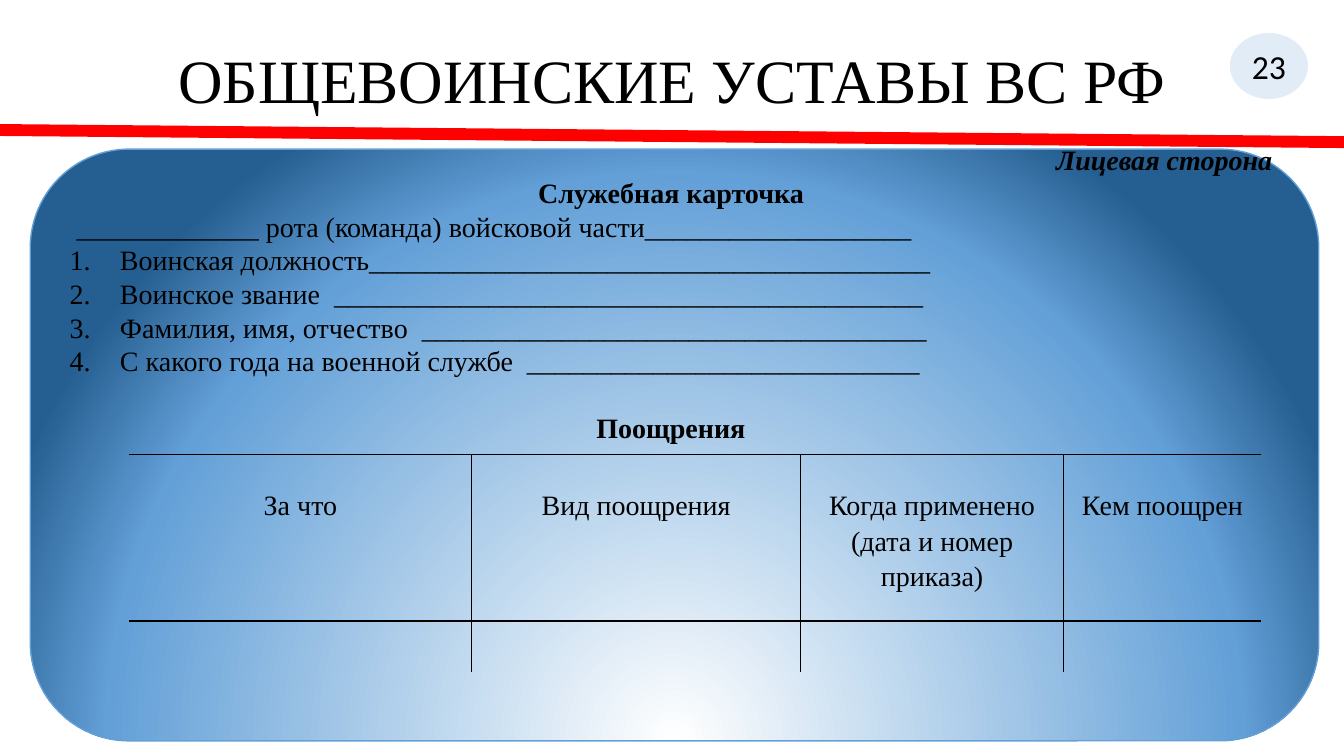
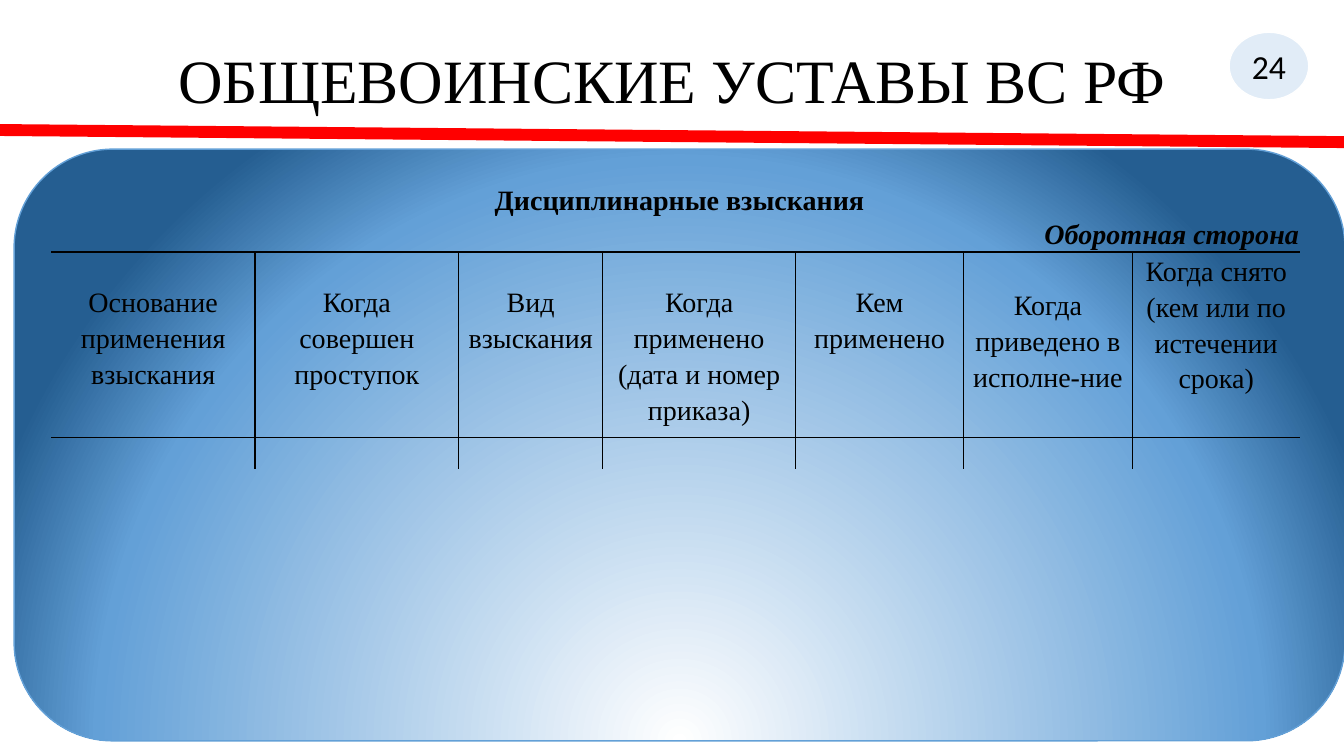
from lxml import etree
from pptx import Presentation
from pptx.dml.color import RGBColor
from pptx.enum.shapes import MSO_CONNECTOR, MSO_SHAPE
from pptx.enum.text import MSO_ANCHOR, PP_ALIGN
from pptx.oxml import parse_xml
from pptx.oxml.ns import nsdecls, qn
from pptx.util import Inches, Pt

LEFT, CENTER, RIGHT = PP_ALIGN.LEFT, PP_ALIGN.CENTER, PP_ALIGN.RIGHT
TOP, MIDDLE = MSO_ANCHOR.TOP, MSO_ANCHOR.MIDDLE
ROUNDED, OVAL = MSO_SHAPE.ROUNDED_RECTANGLE, MSO_SHAPE.OVAL
STRAIGHT = MSO_CONNECTOR.STRAIGHT

BLACK = RGBColor(0x00, 0x00, 0x00)
WHITE = RGBColor(0xFF, 0xFF, 0xFF)
RED = RGBColor(0xFF, 0x00, 0x00)
PALE_BLUE = RGBColor(0x5B, 0x9B, 0xD5)
MID_BLUE = RGBColor(0x63, 0xA0, 0xD7)
DEEP_BLUE = RGBColor(0x25, 0x5E, 0x91)

TITLE = "ОБЩЕВОИНСКИЕ УСТАВЫ ВС РФ"
SERIF = "Times New Roman"
CARD_LINE = Pt(24)

GRADIENT = f"""<a:gradFill {nsdecls('a')} rotWithShape="1"><a:gsLst>
<a:gs pos="0"><a:srgbClr val="{WHITE}"/></a:gs>
<a:gs pos="80000"><a:srgbClr val="{MID_BLUE}"/></a:gs>
<a:gs pos="100000"><a:srgbClr val="{DEEP_BLUE}"/></a:gs></a:gsLst>
<a:path path="circle"><a:fillToRect l="50000" t="130000" r="50000" b="-30000"/></a:path>
</a:gradFill>"""

# Left, width of the card; table place, columns, rows; header cells with top margins
SLIDES = [
    {
        "number": "23", "card": (0.3, 12.78),
        "text_box": (0.52, 1.41, 12.27, 3.1),
        "lines": [
            ("Лицевая сторона", {"bold": True, "italic": True, "align": RIGHT}),
            ("Служебная карточка", {"bold": True, "align": CENTER}),
            ("_____________ рота (команда) войсковой части___________________",
             {"indent": 0.07}),
            ("Воинская должность________________________________________",
             {"numbered": True}),
            ("Воинское звание  __________________________________________",
             {"numbered": True}),
            ("Фамилия, имя, отчество  ____________________________________",
             {"numbered": True}),
            ("С какого года на военной службе  ____________________________",
             {"numbered": True}),
            ("Поощрения", {"bold": True, "align": CENTER, "before": 24}),
        ],
        "table": (1.28, 4.51), "columns": [3.4, 3.26, 2.61, 1.96],
        "rows": [1.65, 0.51], "side_margin": 0.07,
        "headers": [
            ("За что", 0.31), ("Вид поощрения", 0.31),
            ("Когда применено (дата и номер приказа)", 0.31),
            ("Кем поощрен", 0.31),
        ],
    },
    {
        "number": "24", "card": (0.14, 13.2),
        "text_box": None,
        "lines": [
            ("Дисциплинарные взыскания", {"bold": True, "align": CENTER}),
            ("Оборотная сторона", {"bold": True, "italic": True, "align": RIGHT}),
        ],
        "table": (0.51, 2.5), "columns": [2.02, 2.02, 1.43, 1.91, 1.67, 1.67, 1.67],
        "rows": [1.73, 0.31], "side_margin": 0.03,
        "headers": [
            ("Основание применения взыскания", 0.31),
            ("Когда\nсовершен\nпроступок", 0.31),
            ("Вид\nвзыскания", 0.31),
            ("Когда\nприменено (дата и номер приказа)", 0.31),
            ("Кем\nприменено", 0.31),
            ("Когда приведено в исполне-ние", 0.34),
            ("Когда снято (кем или по истечении срока)", 0),
        ],
    },
]


def write(frame, text, font=SERIF, size=20, bold=False, italic=False, align=LEFT,
          spacing=1.0, before=0, indent=0, numbered=False):
    """Fill the empty first paragraph of the frame, or add one after the last."""
    para = frame.paragraphs[0]
    if para.runs:
        para = frame.add_paragraph()
    para.alignment = align
    para.line_spacing = spacing
    para.space_before = Pt(before)
    properties = para._p.get_or_add_pPr()
    if numbered:
        properties.set("marL", str(Inches(0.5)))
        properties.set("indent", str(-Inches(0.5)))
        number = etree.SubElement(properties, qn("a:buAutoNum"))
        number.set("type", "arabicPeriod")
    elif indent:
        properties.set("marL", str(Inches(indent)))
    span = para.add_run()
    span.text = text
    span.font.name = font
    span.font.size = Pt(size)
    span.font.bold = bold
    span.font.italic = italic
    span.font.color.rgb = BLACK


def set_frame(frame, anchor, side=0, top=0):
    frame.word_wrap = True
    frame.vertical_anchor = anchor
    frame.margin_left = frame.margin_right = Inches(side)
    frame.margin_top, frame.margin_bottom = Inches(top), 0


deck = Presentation()
deck.slide_width, deck.slide_height = Inches(13.33), Inches(7.5)

for content in SLIDES:
    page = deck.slides.add_slide(deck.slide_layouts[6])

    # Title
    box = page.shapes.add_textbox(Inches(0.92), Inches(0.42), Inches(11.5), Inches(0.68))
    set_frame(box.text_frame, TOP)
    write(box.text_frame, TITLE, size=44, align=CENTER)

    # Red rule
    rule = page.shapes.add_connector(STRAIGHT, 0, Inches(1.29), Inches(13.33), Inches(1.41))
    rule.line.color.rgb = RED
    rule.line.width = Pt(8.5)
    etree.SubElement(rule._element.spPr, qn("a:effectLst"))

    # Slide number badge
    badge = page.shapes.add_shape(OVAL, Inches(12.19), Inches(0.32), Inches(0.79), Inches(0.67))
    badge.shadow.inherit = False
    badge.fill.solid()
    badge.fill.fore_color.rgb = PALE_BLUE
    color = badge._element.spPr.find(".//" + qn("a:srgbClr"))
    etree.SubElement(color, qn("a:alpha")).set("val", "18000")
    badge.line.color.rgb = WHITE
    badge.line.width = Pt(1)
    set_frame(badge.text_frame, MIDDLE)
    write(badge.text_frame, content["number"], font="Calibri", size=24, align=CENTER)

    # Card with its text
    card_left, card_width = content["card"]
    card = page.shapes.add_shape(ROUNDED, Inches(card_left), Inches(1.48),
                                 Inches(card_width), Inches(5.87))
    card.shadow.inherit = False
    card._element.spPr.find(qn("a:prstGeom")).addnext(parse_xml(GRADIENT))
    card.line.color.rgb = MID_BLUE
    card.line.width = Pt(1)
    if content["text_box"]:
        box = page.shapes.add_textbox(*map(Inches, content["text_box"]))
        frame = box.text_frame
        set_frame(frame, TOP, side=0.17)
    else:
        frame = card.text_frame
        set_frame(frame, TOP, side=0.17, top=0.05)
    for text, style in content["lines"]:
        write(frame, text, spacing=CARD_LINE, **style)

    # Table
    columns, rows = content["columns"], content["rows"]
    left, top = content["table"]
    table = page.shapes.add_table(len(rows), len(columns), Inches(left), Inches(top),
                                  Inches(sum(columns)), Inches(sum(rows))).table
    table.first_row = table.horz_banding = False
    for column, width in zip(table.columns, columns):
        column.width = Inches(width)
    for row, height in zip(table.rows, rows):
        row.height = Inches(height)

    for row_index in range(len(rows)):
        for column_index, (header, top_margin) in enumerate(content["headers"]):
            cell = table.cell(row_index, column_index)
            cell.margin_left = cell.margin_right = Inches(content["side_margin"])
            cell.margin_top = cell.margin_bottom = 0
            if row_index == 0:
                cell.margin_top = Inches(top_margin)
                for text in header.split("\n"):
                    write(cell.text_frame, text, align=CENTER, spacing=1.15)

            # Inner lines and the top edge are ruled, the other edges are open
            borders = {
                "a:lnL": column_index > 0,
                "a:lnR": column_index < len(columns) - 1,
                "a:lnT": True,
                "a:lnB": row_index < len(rows) - 1,
            }
            for tag, ruled in borders.items():
                edge = etree.SubElement(cell._tc.get_or_add_tcPr(), qn(tag))
                edge.set("w", str(Pt(1)))
                if ruled:
                    paint = etree.SubElement(edge, qn("a:solidFill"))
                    etree.SubElement(paint, qn("a:srgbClr")).set("val", str(BLACK))
                else:
                    etree.SubElement(edge, qn("a:noFill"))
            cell.fill.background()

deck.save("out.pptx")
